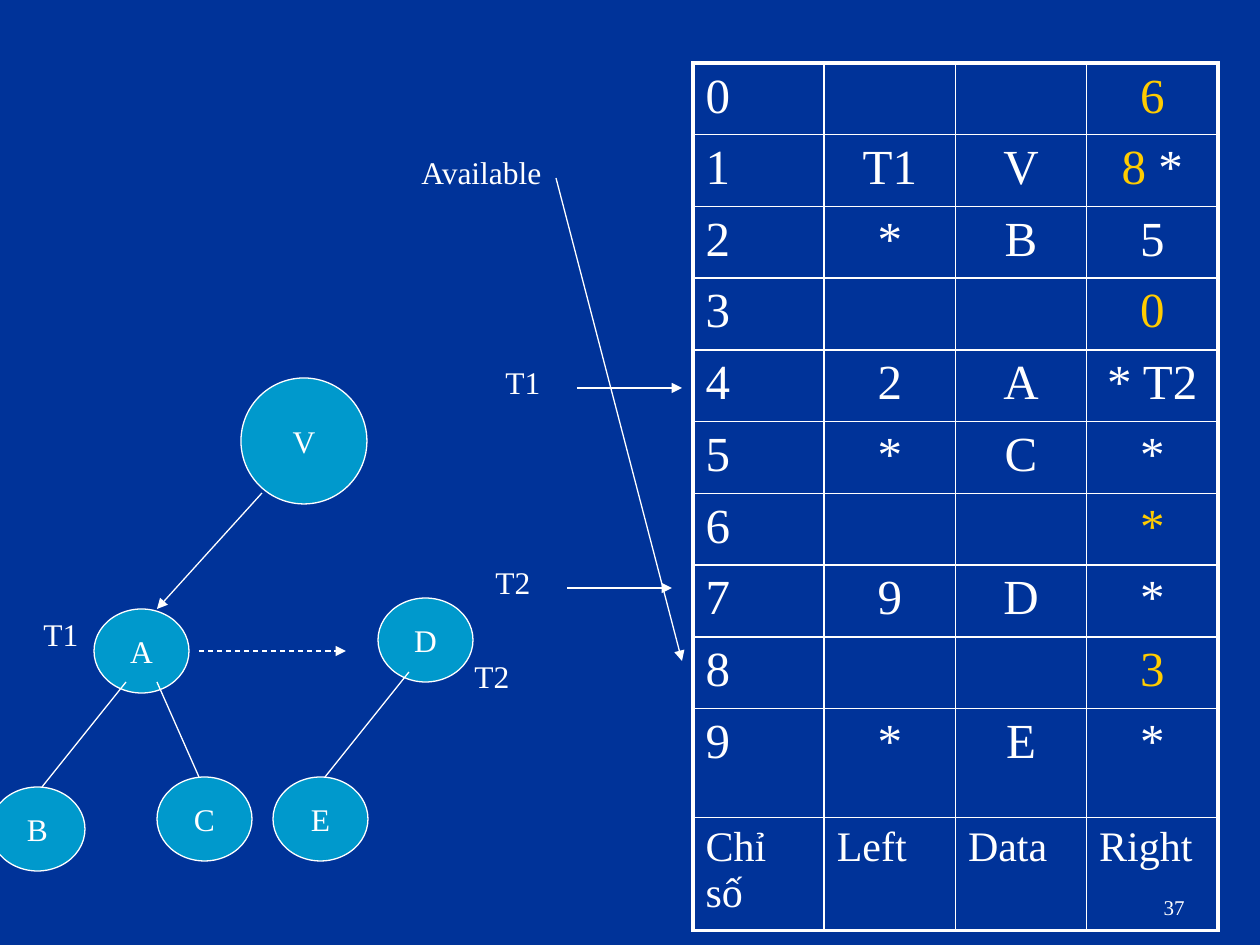
"""Build a slide showing binary trees beside their linked storage table."""
from dataclasses import dataclass

from lxml.etree import SubElement
from pptx import Presentation
from pptx.dml.color import RGBColor
from pptx.enum.dml import MSO_LINE
from pptx.enum.shapes import MSO_CONNECTOR as Connector, MSO_SHAPE as Shape
from pptx.enum.text import MSO_ANCHOR as Anchor, PP_ALIGN as Align
from pptx.oxml.ns import qn
from pptx.util import Emu, Pt


@dataclass(frozen=True)
class Theme:
    font: str = "Times New Roman"
    background: str = "003399"
    node: str = "0099CC"
    ink: str = "FFFFFF"
    free: str = "FFCC00"
    cell_size: int = 28
    header_size: int = 24
    label_size: int = 18
    number_size: int = 12
    line: float = 0.75
    inner_border: float = 1
    outer_border: float = 2.25


THEME = Theme()
SLIDE_SIZE = (1260, 945)
STORAGE = [
    ("", "", [("6", THEME.free)]),
    ("T1", "V", [("8 ", THEME.free), ("*", THEME.ink)]),
    ("*", "B", "5"),
    ("", "", [("0", THEME.free)]),
    ("2", "A", "* T2"),
    ("*", "C", "*"),
    ("", "", [("*", THEME.free)]),
    ("9", "D", "*"),
    ("", "", [("3", THEME.free)]),
    ("*", "E", "*"),
]
HEADERS = ("Chỉ số", "Left", "Data", "Right")
STORAGE_LEFT, STORAGE_TOP, STORAGE_WIDTH = 693, 63, 525
ROW_HEIGHTS = [71 + index % 2 for index in range(9)] + [109, 113]

NODE_SIZE, ROOT_SIZE = (95, 84), (126, 126)
NODES = [
    ("A", 94, 609, NODE_SIZE),
    ("C", 157, 777, NODE_SIZE),
    ("B", -10, 787, NODE_SIZE),
    ("D", 378, 598, NODE_SIZE),
    ("E", 273, 777, NODE_SIZE),
    ("V", 241, 378, ROOT_SIZE),
]
LABEL_HEIGHT = 50
LABELS = [
    ("T1", 31, 609, 136),
    ("T2", 462, 651, 136),
    ("T1", 493, 357, 136),
    ("T2", 483, 557, 136),
    ("Available", 409, 147, 168),
]
EDGES = [
    ((126, 682), (42, 787)),
    ((157, 682), (199, 777)),
    ((409, 672), (325, 777)),
]
ARROWS = [
    ((577, 388), (682, 388)),
    ((567, 588), (672, 588)),
    ((262, 493), (157, 609)),
    ((556, 178), (682, 661)),
]
FUTURE_LINK = ((199, 651), (346, 651))
PAGE_NUMBER, PAGE_NUMBER_BOX = "37", (903, 861, 294, 65)


def px(length):
    return Emu(round(length * 914400 / 126))


def color(code):
    return RGBColor.from_string(code)


def write(frame, content, size, align=Align.LEFT):
    paragraph = frame.paragraphs[0]
    paragraph.alignment = align
    runs = [(content, THEME.ink)] if isinstance(content, str) else content
    for text, ink in runs:
        if text:
            run = paragraph.add_run()
            run.text = text
            run.font.name = THEME.font
            run.font.size = Pt(size)
            run.font.color.rgb = color(ink)


def add_label(slide, text, box, size, align=Align.LEFT, anchor=Anchor.TOP):
    frame = slide.shapes.add_textbox(*map(px, box)).text_frame
    frame.word_wrap = True
    frame.vertical_anchor = anchor
    write(frame, text, size, align)


def add_node(slide, name, left, top, size):
    node = slide.shapes.add_shape(Shape.OVAL, *map(px, (left, top, *size)))
    node.shadow.inherit = False
    node.fill.solid()
    node.fill.fore_color.rgb = color(THEME.node)
    node.line.color.rgb = color(THEME.ink)
    node.line.width = Pt(THEME.line)
    node.text_frame.word_wrap = False
    node.text_frame.vertical_anchor = Anchor.MIDDLE
    write(node.text_frame, name, THEME.label_size, Align.CENTER)


def add_link(slide, start, end, arrow=False, dashed=False):
    link = slide.shapes.add_connector(Connector.STRAIGHT, *map(px, start + end))
    link.line.color.rgb = color(THEME.ink)
    link.line.width = Pt(THEME.line)
    if dashed:
        link.line.dash_style = MSO_LINE.DASH
    properties = link._element.spPr
    if arrow:
        SubElement(properties.find(qn("a:ln")), qn("a:tailEnd"), type="triangle")
    SubElement(properties, qn("a:effectLst"))


def add_borders(cell, outer_sides):
    properties = cell._tc.get_or_add_tcPr()
    for side, outer in zip("LRTB", outer_sides):
        width = THEME.outer_border if outer else THEME.inner_border
        border = SubElement(properties, qn(f"a:ln{side}"), w=str(Pt(width)))
        fill = SubElement(border, qn("a:solidFill"))
        SubElement(fill, qn("a:srgbClr"), val=THEME.ink)


def add_storage(slide):
    rows = [(str(index), *fields) for index, fields in enumerate(STORAGE)] + [HEADERS]
    last_row, last_column = len(rows) - 1, len(HEADERS) - 1
    box = (STORAGE_LEFT, STORAGE_TOP, STORAGE_WIDTH, sum(ROW_HEIGHTS))
    table = slide.shapes.add_table(len(rows), len(HEADERS), *map(px, box)).table
    table.first_row = table.horz_banding = False
    for row, height in zip(table.rows, ROW_HEIGHTS):
        row.height = px(height)
    for r, fields in enumerate(rows):
        size = THEME.header_size if r == last_row else THEME.cell_size
        for c, content in enumerate(fields):
            cell = table.cell(r, c)
            add_borders(cell, (c == 0, c == last_column, r == 0, r == last_row))
            cell.fill.background()
            align = Align.LEFT if c == 0 or r == last_row else Align.CENTER
            write(cell.text_frame, content, size, align)


def main():
    deck = Presentation()
    deck.slide_width, deck.slide_height = map(px, SLIDE_SIZE)
    slide = deck.slides.add_slide(deck.slide_layouts[6])
    slide.background.fill.solid()
    slide.background.fill.fore_color.rgb = color(THEME.background)

    add_label(slide, PAGE_NUMBER, PAGE_NUMBER_BOX, THEME.number_size,
              Align.RIGHT, Anchor.BOTTOM)
    add_storage(slide)
    for node in NODES:
        add_node(slide, *node)
    for start, end in EDGES:
        add_link(slide, start, end)
    for text, left, top, width in LABELS:
        add_label(slide, text, (left, top, width, LABEL_HEIGHT), THEME.label_size)
    for start, end in ARROWS:
        add_link(slide, start, end, arrow=True)
    add_link(slide, *FUTURE_LINK, arrow=True, dashed=True)
    deck.save("out.pptx")


if __name__ == "__main__":
    main()
